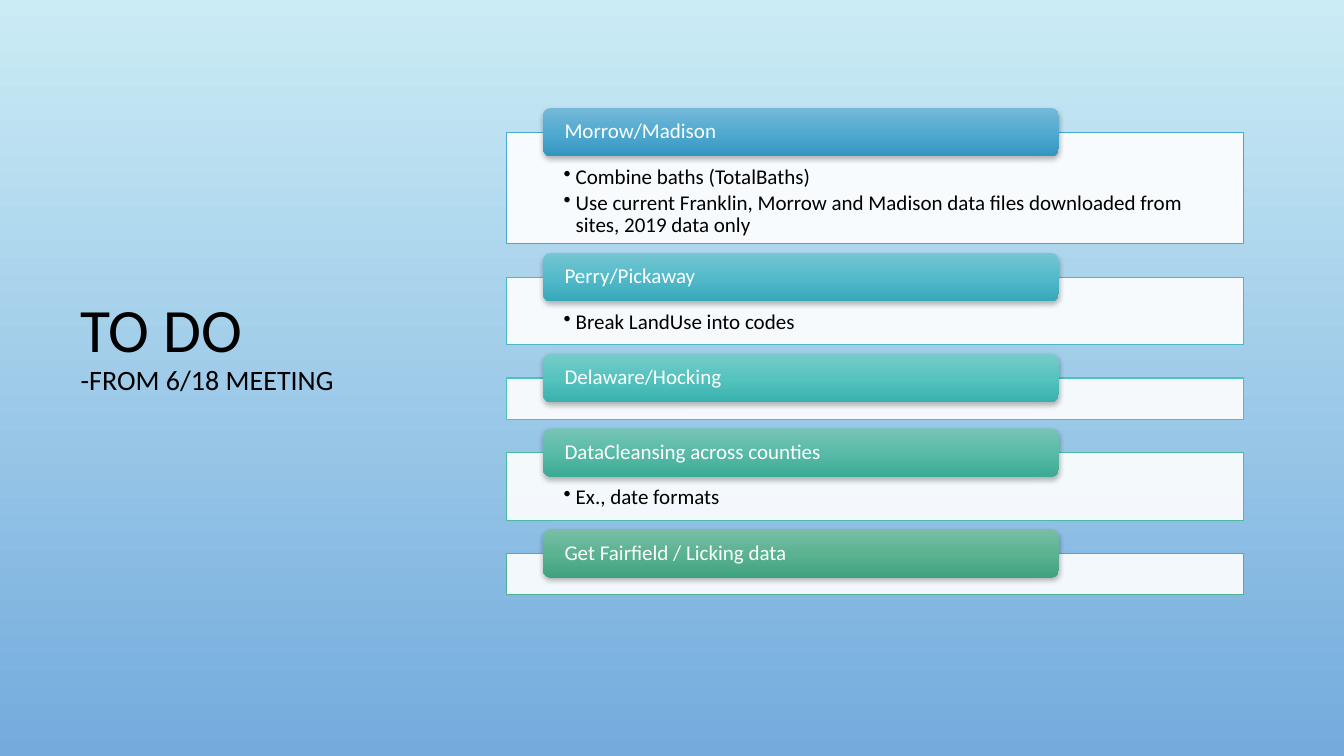
from copy import deepcopy

from lxml.etree import SubElement
from pptx import Presentation
from pptx.dml.color import RGBColor
from pptx.enum.shapes import MSO_SHAPE as Preset
from pptx.enum.text import MSO_ANCHOR as Anchor, MSO_AUTO_SIZE as AutoSize, PP_ALIGN as Align
from pptx.oxml.ns import qn
from pptx.util import Inches, Pt

FONT = "Calibri"
SECTIONS = [
    ("Morrow/Madison",
     ["Combine baths (TotalBaths)",
      "Use current Franklin, Morrow and Madison data files downloaded from sites, 2019 data only"],
     1.11, "48A8D0", ["76B9D9", "52AAD1", "3396C0"]),
    ("Perry/Pickaway", ["Break LandUse into codes"],
     0.67, "4AB8C9", ["76C5D2", "54BACA", "36A8B9"]),
    ("Delaware/Hocking", [],
     0.41, "4DC1BD", ["77CCC9", "56C3BF", "39B1AD"]),
    ("DataCleansing across counties", ["Ex., date formats"],
     0.67, "50B9A4", ["78C5B5", "59BBA7", "3CAA94"]),
    ("Get Fairfield / Licking data", [],
     0.41, "53B18F", ["79BEA4", "5BB392", "40A27E"]),
]


def color(value):
    """Turn a hex string into a colour."""
    return RGBColor.from_string(value)


def apply(target, formats):
    """Set each attribute named in a dict of format values."""
    for name, value in formats.items():
        setattr(target, name, value)


def paint_gradient(fill, colors):
    """Fill from top to bottom with evenly spaced colours."""
    fill.gradient()
    fill.gradient_angle = 270
    first = fill.gradient_stops[0]._gs
    for _ in colors[2:]:
        first.addnext(deepcopy(first))
    for index, (stop, value) in enumerate(zip(fill.gradient_stops, colors)):
        stop.color.rgb = color(value)
        stop.position = index / (len(colors) - 1)


def set_frame(shape, anchor, left, top, right, bottom):
    """Set the wrapping, anchor and margins of a shape's text."""
    frame = shape.text_frame
    apply(frame, {
        "word_wrap": True, "auto_size": AutoSize.NONE, "vertical_anchor": anchor,
        "margin_left": Inches(left), "margin_top": Inches(top),
        "margin_right": Inches(right), "margin_bottom": Inches(bottom),
    })
    return frame


def write(para, text, size, value):
    """Add a left-aligned span of text to a paragraph."""
    apply(para, {"alignment": Align.LEFT, "line_spacing": 0.9})
    span = para.add_run()
    span.text = text
    apply(span.font, {"name": FONT, "size": Pt(size)})
    span.font.color.rgb = color(value)


def add_bullet(para):
    """Give a paragraph a round bullet with a hanging indent."""
    props = para._p.get_or_add_pPr()
    props.set("marL", str(Inches(0.12)))
    props.set("indent", str(-Inches(0.12)))
    SubElement(props, qn("a:buChar"), char="•")


def add_shadow(shape):
    """Cast a soft shadow below a shape."""
    shape.shadow.inherit = False
    effects = shape._element.spPr.find(qn("a:effectLst"))
    shadow = SubElement(effects, qn("a:outerShdw"), blurRad=str(Pt(4)), dist=str(Pt(2)),
                        dir="5400000", algn="ctr", rotWithShape="0")
    shade = SubElement(shadow, qn("a:srgbClr"), val="000000")
    SubElement(shade, qn("a:alpha"), val="28000")


def add_title(page, left, top, width, height):
    """Place the title and its smaller second line."""
    title = page.shapes.title
    apply(title, {"left": Inches(left), "top": Inches(top),
                  "width": Inches(width), "height": Inches(height)})
    para = set_frame(title, Anchor.MIDDLE, 0.1, 0.05, 0.1, 0.05).paragraphs[0]
    write(para, "TO DO", 44, "000000")
    para.add_line_break()
    write(para, "-FROM 6/18 MEETING", 20, "000000")


def add_panel(page, tasks, line, left, top, width, height):
    """Draw the translucent panel that lists a section's tasks."""
    panel = page.shapes.add_shape(Preset.RECTANGLE, Inches(left), Inches(top),
                                  Inches(width), Inches(height))
    panel.shadow.inherit = False
    panel.fill.solid()
    panel.fill.fore_color.rgb = color("FFFFFF")
    shade = panel._element.spPr.find(qn("a:solidFill")).find(qn("a:srgbClr"))
    SubElement(shade, qn("a:alpha"), val="90000")
    panel.line.color.rgb = color(line)
    panel.line.width = Pt(0.75)
    frame = set_frame(panel, Anchor.TOP, 0.57, 0.34, 0.57, 0.12)
    for index, task in enumerate(tasks):
        para = frame.add_paragraph() if index else frame.paragraphs[0]
        write(para, task, 15, "000000")
        para.space_after = Pt(2.25)
        add_bullet(para)


def add_tab(page, heading, colors, left, top, width, height):
    """Draw the rounded tab that carries a section's heading."""
    tab = page.shapes.add_shape(Preset.ROUNDED_RECTANGLE, Inches(left), Inches(top),
                                Inches(width), Inches(height))
    paint_gradient(tab.fill, colors)
    tab.line.fill.background()
    add_shadow(tab)
    frame = set_frame(tab, Anchor.MIDDLE, 0.19, 0, 0.19, 0)
    write(frame.paragraphs[0], heading, 15, "FFFFFF")


def add_sections(page, left, top, width, gap=0.33, tab_height=0.48):
    """Stack the sections, each tab straddling the top of its panel."""
    for heading, tasks, height, line, colors in SECTIONS:
        add_panel(page, tasks, line, left, top, width, height)
        add_tab(page, heading, colors, left + width * 0.05, top - tab_height / 2,
                width * 0.7, tab_height)
        top += height + gap


def main():
    """Build and save the slide."""
    deck = Presentation()
    apply(deck, {"slide_width": Inches(13.33), "slide_height": Inches(7.5)})
    page = deck.slides.add_slide(deck.slide_layouts[5])
    paint_gradient(page.background.fill, ["CBECF5", "73ABDD"])
    add_title(page, 0.7, 1.44, 3.11, 4.02)
    add_sections(page, 5.02, 1.31, 7.31)
    deck.save("out.pptx")


if __name__ == "__main__":
    main()
